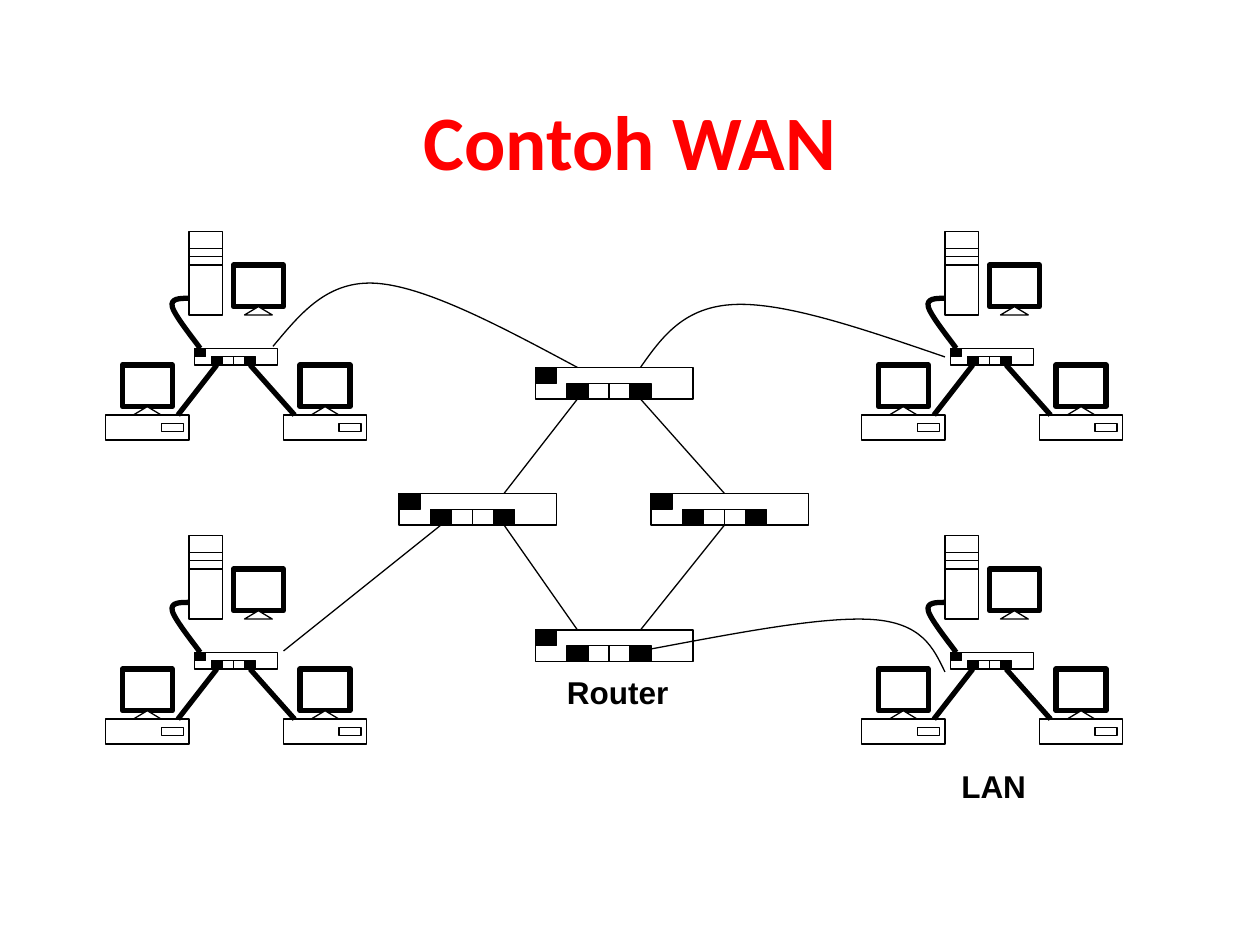
from lxml import etree
from pptx import Presentation
from pptx import util as u
from pptx.dml import color
from pptx.enum import shapes, text
from pptx.oxml import ns

BLACK, WHITE, RED = "000000", "FFFFFF", "FF0000"
THIN, THICK = 0.75, 3
TWELFTH = 2.54 / 12  # routers and long links sit on a grid of 1/12 inch
LAN_STEP = 0.056     # grid inside each LAN, in cm
BOX = shapes.MSO_SHAPE.RECTANGLE
STAND = shapes.MSO_SHAPE.ISOSCELES_TRIANGLE


def rgb(hex_string):
    return color.RGBColor.from_string(hex_string)


def assign(target, values):
    for name, value in values.items():
        setattr(target, name, value)


class Diagram:
    """Draws on one page, in steps of a grid that can be moved and rescaled."""

    def __init__(self, page):
        self.page = page
        self.shapes = page.shapes
        self.set_grid(0, 0, 1)

    def set_grid(self, left, top, step):
        self.left, self.top, self.step = left, top, step

    def start_group(self):
        self.shapes = self.page.shapes.add_group_shape().shapes

    def end_group(self):
        self.shapes = self.page.shapes

    def point(self, x, y):
        return u.Cm(self.left + x * self.step), u.Cm(self.top + y * self.step)

    def outline(self, item, width):
        item.line.color.rgb = rgb(BLACK)
        item.line.width = u.Pt(width)

    def block(self, x, y, width, height, fill=WHITE, line=THIN, kind=BOX):
        box = self.shapes.add_shape(kind, *self.point(x, y),
                                    u.Cm(width * self.step), u.Cm(height * self.step))
        box.shadow.inherit = False
        box.fill.solid()
        box.fill.fore_color.rgb = rgb(fill)
        self.outline(box, line)
        return box

    def link(self, start, end, width=THIN, port=None):
        """Straight line; joined to the bottom of a port when one is given."""
        line = self.shapes.add_connector(shapes.MSO_CONNECTOR.STRAIGHT,
                                         *self.point(*start), *self.point(*end))
        if port is not None:
            line.begin_connect(port, 2)
        self.outline(line, width)
        etree.SubElement(line._element.spPr, ns.qn("a:effectLst"))

    def curve(self, points, width=THIN):
        """Bezier curve: a start point, then three points for each segment."""
        start, *rest = [self.point(*p) for p in points]
        builder = self.shapes.build_freeform(*start)
        builder.add_line_segments(rest, close=False)
        shape = builder.convert_to_shape()
        shape.shadow.inherit = False
        shape.fill.background()
        self.outline(shape, width)
        steps = list(shape._element.iter(ns.qn("a:lnTo")))
        for first in range(0, len(steps), 3):
            bezier = etree.Element(ns.qn("a:cubicBezTo"))
            steps[first].addprevious(bezier)
            for step in steps[first:first + 3]:
                bezier.append(step[0])
                step.getparent().remove(step)

    def label(self, words, place, size, font, ink=BLACK, frame=None, para_format=None):
        box = self.shapes.add_textbox(*[u.Cm(v) for v in place])
        assign(box.text_frame, {"word_wrap": False, **(frame or {})})
        para = box.text_frame.paragraphs[0]
        assign(para, para_format or {})
        span = para.add_run()
        span.text = words
        assign(span.font, {"size": u.Pt(size), "name": font, "bold": True})
        span.font.color.rgb = rgb(ink)

    def switch(self, x, y, scale=1):
        """Hub or router; returns its four lower ports."""
        self.block(x, y, 15 * scale, 3 * scale)
        ports = [self.block(x + offset * scale, y + 1.5 * scale, 2 * scale, 1.5 * scale, fill)
                 for offset, fill in zip((3, 5, 7, 9), (BLACK, WHITE, WHITE, BLACK))]
        self.block(x, y, 2 * scale, 1.5 * scale, BLACK)
        return ports

    def monitor(self, x, y):
        self.block(x, y, 18, 15, line=THICK)
        self.block(x + 4, y + 15, 10, 3, kind=STAND)

    def desktop(self, x, y):
        self.monitor(x + 6, y)
        self.block(x, y + 18, 30, 9)
        self.block(x + 20, y + 21, 8, 3)

    def lan(self, left, top):
        self.set_grid(left, top, LAN_STEP)
        self.start_group()
        self.block(30, 0, 12, 30)
        for y in (6, 9, 12):
            self.link((30, y), (42, y))
        self.monitor(46, 12)
        for x in (0, 64):
            self.desktop(x, 48)
        ports = self.switch(32, 42, scale=2)
        self.link((40, 48), (26, 66), THICK, ports[0])
        self.link((52, 48), (68, 66), THICK, ports[3])
        self.curve([(30, 24), (26.8, 24), (23.2, 24), (24, 27),
                    (24.6, 30), (32.3, 39.5), (34, 42)], THICK)
        self.end_group()


def main():
    deck = Presentation()
    deck.slide_width, deck.slide_height = u.Cm(25.4), u.Cm(19.05)
    diagram = Diagram(deck.slides.add_slide(deck.slide_layouts[6]))

    diagram.label("Contoh WAN", (1.27, 1.7, 22.86, 2.24), 44, "Calibri", RED,
                  {"word_wrap": True, "vertical_anchor": text.MSO_ANCHOR.MIDDLE},
                  {"alignment": text.PP_ALIGN.CENTER})

    for top in (4.67, 10.8):
        for left in (2.13, 17.37):
            diagram.lan(left, top)

    diagram.set_grid(0, 0, TWELFTH)
    diagram.start_group()
    north, west, east, south = [diagram.switch(x, y) for x, y in
                                ((51, 35), (38, 47), (62, 47), (51, 60))]
    diagram.link((55, 38), (48, 47), port=north[0])
    diagram.link((61, 38), (69, 47), port=north[3])
    diagram.link((48, 50), (55, 60), port=west[3])
    diagram.link((69, 50), (61, 60))
    diagram.label("Router", (11.18, 13.44, 2.57, 1.02), 18, "Arial")
    diagram.end_group()

    diagram.link((42, 50), (27, 62), port=west[0])
    for points in (
        [(26, 33), (28.6, 29.9), (31.2, 26.6), (36, 27), (40.8, 27.4), (47.9, 31.2), (55, 35)],
        [(90, 64), (88.9, 61.7), (87.8, 59.3), (83, 59), (78.1, 58.7), (69.6, 60.4), (61, 62)],
        [(90, 34), (82.4, 31.4), (74.9, 28.8), (70, 29), (65.2, 29.2), (63.1, 32), (61, 35)],
    ):
        # the link to the south router runs on to the router's right side
        diagram.curve(points)
    diagram.label("LAN", (19.13, 15.34, 1.83, 1.02), 18, "Arial")

    deck.save("out.pptx")


if __name__ == "__main__":
    main()
